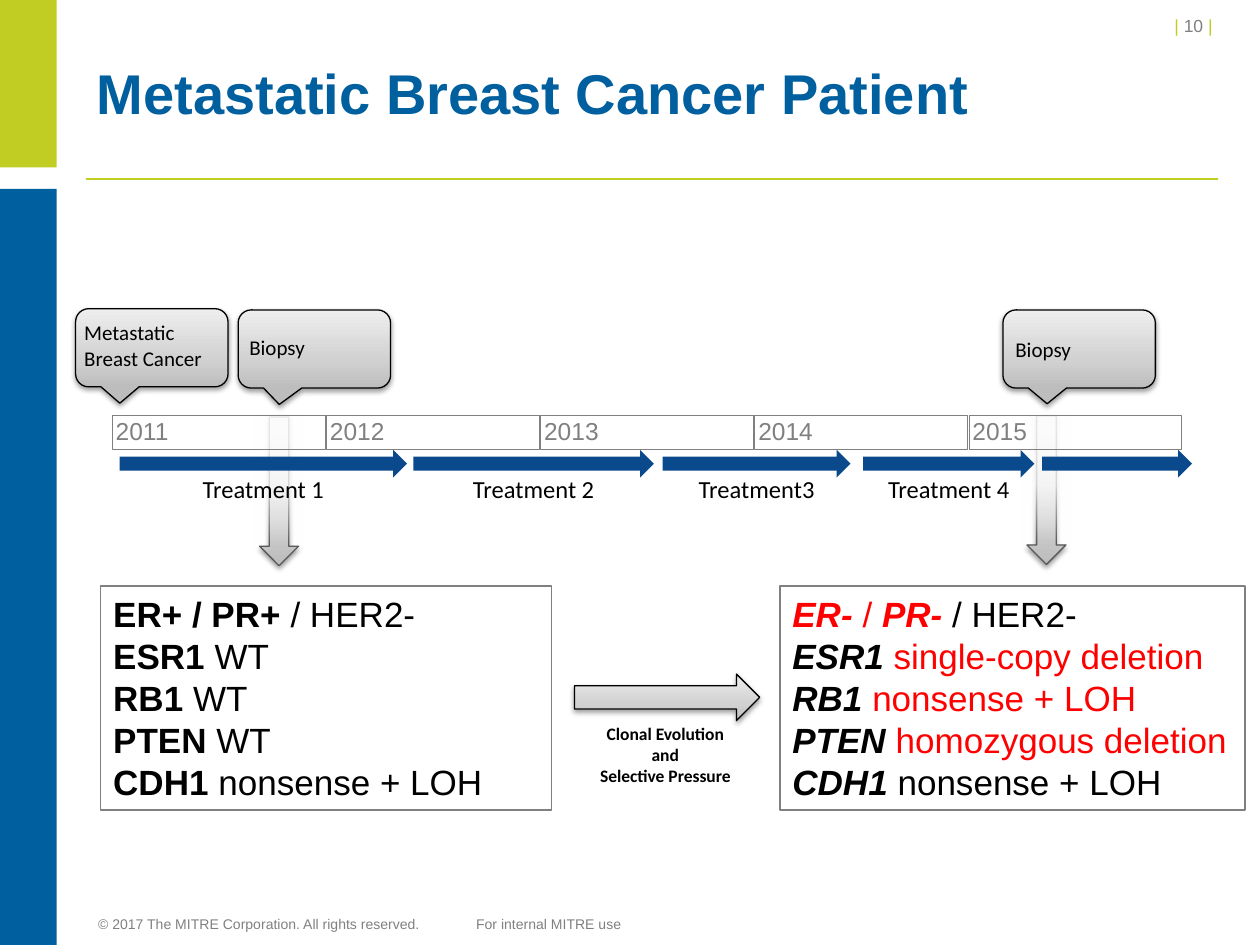
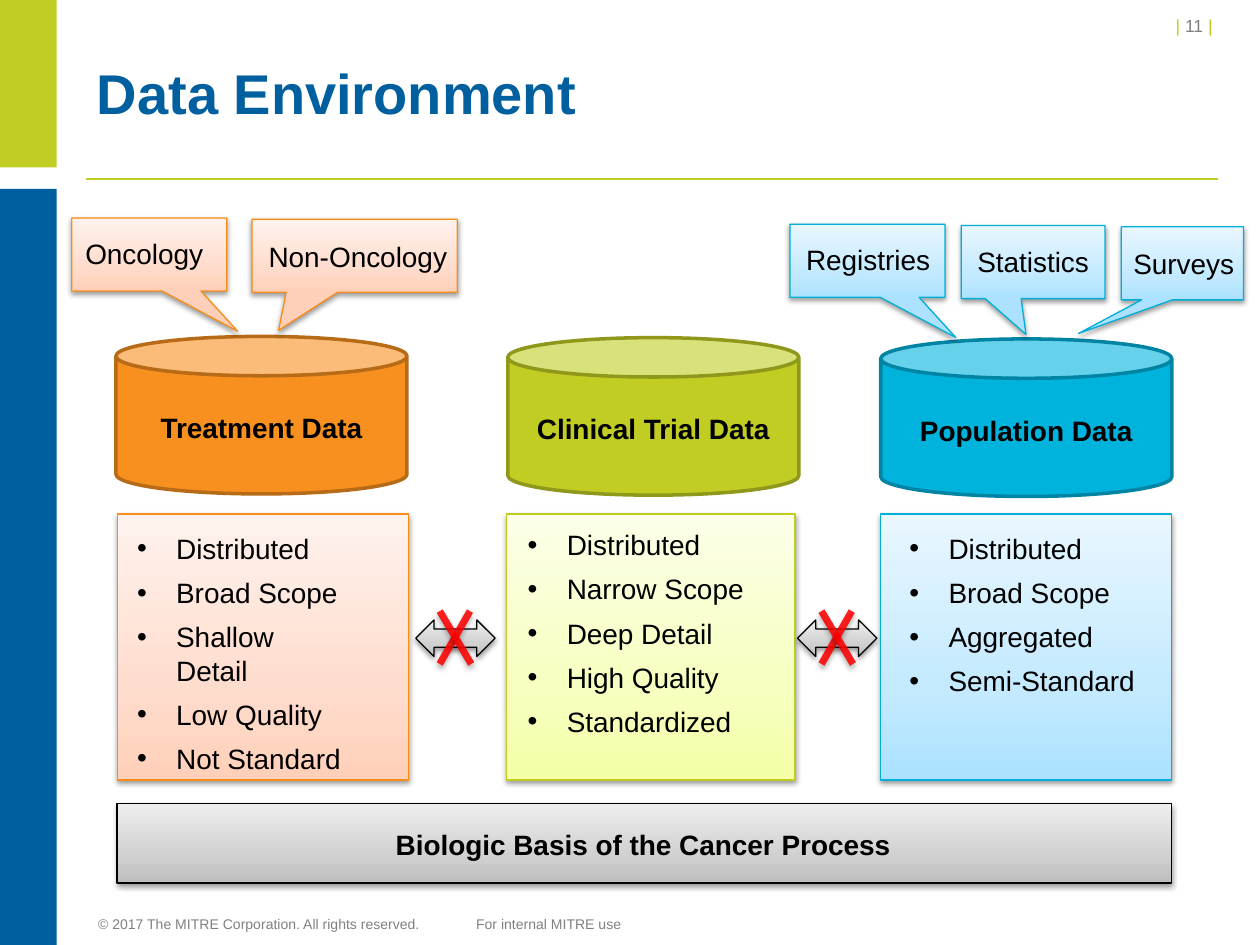
"""Build two slides on a cancer patient's timeline and the data environment."""
from dataclasses import dataclass
from typing import NamedTuple

from pptx import Presentation
from pptx.dml.color import RGBColor
from pptx.enum.shapes import MSO_CONNECTOR, MSO_SHAPE
from pptx.enum.text import MSO_ANCHOR, PP_ALIGN
from pptx.oxml import parse_xml
from pptx.oxml.ns import nsdecls, qn
from pptx.shapes.autoshape import Shape
from pptx.shapes.connector import Connector
from pptx.slide import Slide
from pptx.text.text import TextFrame
from pptx.util import Inches, Pt

RECTANGLE = MSO_SHAPE.RECTANGLE
RIGHT_ARROW = MSO_SHAPE.RIGHT_ARROW
DOWN_ARROW = MSO_SHAPE.DOWN_ARROW
DOUBLE_ARROW = MSO_SHAPE.LEFT_RIGHT_ARROW
CAN = MSO_SHAPE.CAN
ROUND_CALLOUT = MSO_SHAPE.ROUNDED_RECTANGULAR_CALLOUT
SQUARE_CALLOUT = MSO_SHAPE.RECTANGULAR_CALLOUT
STRAIGHT = MSO_CONNECTOR.STRAIGHT
LEFT, CENTER, RIGHT = PP_ALIGN.LEFT, PP_ALIGN.CENTER, PP_ALIGN.RIGHT
TOP, MIDDLE, BOTTOM = MSO_ANCHOR.TOP, MSO_ANCHOR.MIDDLE, MSO_ANCHOR.BOTTOM

BLACK = RGBColor(0x00, 0x00, 0x00)
RED = RGBColor(0xFF, 0x00, 0x00)
GRAY = RGBColor(0x80, 0x80, 0x80)
DARK_GRAY = RGBColor(0x59, 0x59, 0x59)
LIME = RGBColor(0xC1, 0xCD, 0x23)
BLUE = RGBColor(0x00, 0x5F, 0x9E)
ARROW_BLUE = RGBColor(0x0A, 0x4A, 0x8C)
ORANGE = RGBColor(0xF7, 0x90, 0x1E)
CYAN = RGBColor(0x00, 0xB3, 0xDC)
DARK_LIME = RGBColor(0x8F, 0x98, 0x1A)
DARK_ORANGE = RGBColor(0xB7, 0x6B, 0x16)
DARK_CYAN = RGBColor(0x00, 0x84, 0xA3)
ORANGE_EDGE = RGBColor(0xF7, 0x8D, 0x18)
LIME_EDGE = RGBColor(0xC0, 0xCD, 0x1E)
CYAN_EDGE = RGBColor(0x00, 0xAF, 0xD7)


class Bounds(NamedTuple):
    """Left, top, width and height in inches."""
    left: float
    top: float
    width: float
    height: float


class Stop(NamedTuple):
    """One gradient stop, with position and opacity in percent."""
    position: int
    color: str
    opacity: int = 100


class Tint(NamedTuple):
    """A gradient and the outline that goes with it."""
    stops: tuple[Stop, ...]
    edge: RGBColor


class Span(NamedTuple):
    """A piece of text that may differ from its paragraph's style."""
    text: str
    color: RGBColor | None = None
    bold: bool | None = None
    italic: bool = False


@dataclass(frozen=True)
class Style:
    """How the paragraphs of a box look."""
    size: int
    color: RGBColor = BLACK
    font: str = "Arial"
    bold: bool = False
    align: PP_ALIGN = LEFT
    anchor: MSO_ANCHOR = TOP
    after: int = 0
    leading: int = 0
    bullet: bool = False


@dataclass(frozen=True)
class Callout:
    """A speech bubble with its pointer and label position."""
    text: str
    box: Bounds
    pointer: tuple[float, float]
    label: Bounds
    tint: Tint


@dataclass(frozen=True)
class Source:
    """A data store with the panel that describes it."""
    name: str
    can: Bounds
    fill: RGBColor
    edge: RGBColor
    panel: Bounds
    tint: Tint
    bullets: Bounds
    items: tuple[str, ...]


def ramp(dark: str, medium: str, light: str) -> tuple[Stop, ...]:
    """Return the three stops shared by all shaded shapes."""
    return Stop(0, dark), Stop(35, medium), Stop(100, light)


SILVER = Tint(ramp("BDBDBD", "D1D1D1", "EEEEEE"), BLACK)
SILVER_SOFT = SILVER._replace(edge=DARK_GRAY)
PEACH = Tint(ramp("FFD0B9", "FFDDCE", "FFF2ED"), ORANGE_EDGE)
LEMON = Tint(ramp("F5FFA6", "F7FFC0", "FCFFE7"), LIME_EDGE)
SKY = Tint(ramp("ACE2FF", "C4EAFF", "E9F7FF"), CYAN_EDGE)
FADE = Stop(16, "FFFFFF", 85), Stop(55, "FFFFFF", 75), Stop(100, "FFFFFF", 0)

TITLE = Style(32, BLUE, bold=True, anchor=MIDDLE, leading=32)
FOOTER = Style(8, GRAY, anchor=BOTTOM, leading=13)
NUMBER = Style(10, GRAY, align=RIGHT, after=6)
YEAR = Style(14, GRAY, after=6)
TREATMENT = Style(14, font="Calibri", align=CENTER)
EVENT = Style(12, font="Calibri")
EVOLUTION = Style(10, font="Calibri", bold=True, align=CENTER)
FINDING = Style(20)
LABEL = Style(16, align=CENTER, after=6)
STORE = Style(16, bold=True, align=CENTER, after=6)
BULLETS = Style(16, after=6, bullet=True)

TREATMENTS = ((0.95, 2.28, "Treatment 1"), (3.28, 1.91, "Treatment 2"), (5.26, 1.49, "Treatment3"),
              (6.85, 1.36, "Treatment 4"), (8.27, 1.19, ""))
EVENTS = (
    Callout("Metastatic Breast Cancer", Bounds(0.6, 2.45, 1.21, 0.62), (-0.21, 0.71),
            Bounds(0.57, 2.49, 1.29, 0.5), SILVER),
    Callout("Biopsy", Bounds(1.89, 2.46, 1.21, 0.62), (-0.23, 0.71),
            Bounds(1.88, 2.61, 1.21, 0.3), SILVER),
    Callout("Biopsy", Bounds(7.96, 2.46, 1.21, 0.62), (-0.21, 0.7),
            Bounds(7.96, 2.62, 1.21, 0.3), SILVER),
)
FIRST_FINDINGS = [[Span("ER+ / PR+ ", bold=True), Span("/ HER2-")]] + [
    [Span(gene, bold=True), Span(f" {status}")]
    for gene, status in (("ESR1", "WT"), ("RB1", "WT"), ("PTEN", "WT"), ("CDH1", "nonsense + LOH"))
]
LAST_FINDINGS = [[Span("ER- ", RED, True, True), Span("/ ", RED),
                  Span("PR- ", RED, True, True), Span("/ HER2-")]] + [
    [Span(f"{gene} ", bold=True, italic=True), Span(status, color)]
    for gene, status, color in (("ESR1", "single-copy deletion", RED), ("RB1", "nonsense + LOH", RED),
                                ("PTEN", "homozygous deletion", RED), ("CDH1", "nonsense + LOH", BLACK))
]
SUPPLIERS = (
    Callout("Oncology", Bounds(0.57, 1.73, 1.23, 0.58), (0.57, 1.05), Bounds(0.57, 1.83, 1.15, 0.37), PEACH),
    Callout("Non-Oncology", Bounds(2, 1.74, 1.63, 0.58), (-0.37, 1.02), Bounds(2, 1.85, 1.68, 0.37), PEACH),
    Callout("Registries", Bounds(6.27, 1.78, 1.23, 0.58), (0.57, 1.05), Bounds(6.27, 1.88, 1.24, 0.37), SKY),
    Callout("Statistics", Bounds(7.63, 1.79, 1.14, 0.58), (-0.05, 0.99), Bounds(7.63, 1.89, 1.14, 0.37), SKY),
    Callout("Surveys", Bounds(8.9, 1.8, 0.97, 0.58), (-0.85, 0.96), Bounds(8.86, 1.91, 1.07, 0.37), SKY),
)
SOURCES = (
    Source("Treatment Data", Bounds(0.92, 2.67, 2.31, 1.25), ORANGE, DARK_ORANGE,
           Bounds(0.93, 4.08, 2.31, 2.11), PEACH, Bounds(0.99, 4.17, 1.87, 1.78),
           ("Distributed", "Broad Scope", "Shallow Detail", "Low Quality", "Not Standard")),
    Source("Clinical Trial Data", Bounds(4.03, 2.68, 2.31, 1.25), LIME, DARK_LIME,
           Bounds(4.02, 4.08, 2.29, 2.11), LEMON, Bounds(4.09, 4.14, 2, 1.78),
           ("Distributed", "Narrow Scope", "Deep Detail", "High Quality", "Standardized")),
    Source("Population Data", Bounds(6.99, 2.69, 2.31, 1.25), CYAN, DARK_CYAN,
           Bounds(6.99, 4.08, 2.31, 2.11), SKY, Bounds(7.12, 4.17, 2.1, 1.43),
           ("Distributed", "Broad Scope", "Aggregated", "Semi-Standard")),
)


def write(frame: TextFrame, lines: list[list[Span]], style: Style) -> None:
    """Fill a text frame run by run."""
    frame.word_wrap = True
    frame.vertical_anchor = style.anchor
    for index, line in enumerate(lines):
        para = frame.add_paragraph() if index else frame.paragraphs[0]
        para.alignment = style.align
        para.space_after = Pt(style.after)
        if style.leading:
            para.line_spacing = Pt(style.leading)
        if style.bullet:
            properties = para._p.get_or_add_pPr()
            properties.set("marL", str(Inches(0.31)))
            properties.set("indent", str(-Inches(0.31)))
            properties.append(parse_xml(f'<a:buFont {nsdecls("a")} typeface="Arial"/>'))
            properties.append(parse_xml(f'<a:buChar {nsdecls("a")} char="•"/>'))
        for span in line:
            run = para.add_run()
            run.text = span.text
            run.font.name = style.font
            run.font.size = Pt(style.size)
            run.font.bold = style.bold if span.bold is None else span.bold
            run.font.italic = span.italic
            run.font.color.rgb = style.color if span.color is None else span.color


def add_text(page: Slide, bounds: Bounds, lines: list[list[Span]], style: Style) -> None:
    """Add a text box."""
    write(page.shapes.add_textbox(*map(Inches, bounds)).text_frame, lines, style)


def add_label(page: Slide, bounds: Bounds, style: Style, *texts: str) -> None:
    """Add a text box with one plain paragraph for each text."""
    add_text(page, bounds, [[Span(text)] for text in texts], style)


def add_shape(page: Slide, kind: MSO_SHAPE, bounds: Bounds, fill: RGBColor | None = None,
              edge: RGBColor | None = None, weight: float = 0.75) -> Shape:
    """Add a flat preset shape."""
    shape = page.shapes.add_shape(kind, *map(Inches, bounds))
    shape.shadow.inherit = False
    if fill is None:
        shape.fill.background()
    else:
        shape.fill.solid()
        shape.fill.fore_color.rgb = fill
    if edge is None:
        shape.line.fill.background()
    else:
        shape.line.color.rgb = edge
        shape.line.width = Pt(weight)
    return shape


def set_gradient(shape: Shape, stops: tuple[Stop, ...], angle: int) -> None:
    """Give a shape a linear gradient, with the angle counted clockwise."""
    shape.fill.gradient()
    marks = "".join(
        f'<a:gs pos="{stop.position * 1000}"><a:srgbClr val="{stop.color}">'
        f'<a:alpha val="{stop.opacity * 1000}"/></a:srgbClr></a:gs>' for stop in stops)
    gradient = parse_xml(f'<a:gradFill {nsdecls("a")} rotWithShape="1"><a:gsLst>{marks}</a:gsLst>'
                         f'<a:lin ang="{angle * 60000}" scaled="0"/></a:gradFill>')
    properties = shape._element.spPr
    properties.replace(properties.find(qn("a:gradFill")), gradient)


def set_shadow(item: Shape | Connector, opacity: int, distance: float) -> None:
    """Drop a soft shadow straight down."""
    properties = item._element.spPr
    for effects in properties.findall(qn("a:effectLst")):
        properties.remove(effects)
    properties.append(parse_xml(
        f'<a:effectLst {nsdecls("a")}><a:outerShdw blurRad="{Pt(3.1)}" dist="{Pt(distance)}" dir="5400000" '
        f'rotWithShape="0"><a:srgbClr val="000000"><a:alpha val="{opacity * 1000}"/></a:srgbClr>'
        '</a:outerShdw></a:effectLst>'))


def add_shaded(page: Slide, kind: MSO_SHAPE, bounds: Bounds, tint: Tint) -> Shape:
    """Add a shape with a gradient, an outline and a shadow."""
    shape = add_shape(page, kind, bounds, edge=tint.edge)
    set_gradient(shape, tint.stops, 270)
    set_shadow(shape, 38, 1.6)
    return shape


def add_callout(page: Slide, kind: MSO_SHAPE, callout: Callout, style: Style) -> None:
    """Add a speech bubble and its label."""
    bubble = add_shaded(page, kind, callout.box, callout.tint)
    bubble.adjustments[0], bubble.adjustments[1] = callout.pointer
    add_label(page, callout.label, style, callout.text)


def add_line(page: Slide, start: tuple[float, float], end: tuple[float, float],
             color: RGBColor, weight: float) -> Connector:
    """Add a straight line without a shadow."""
    line = page.shapes.add_connector(STRAIGHT, *map(Inches, (*start, *end)))
    line.line.color.rgb = color
    line.line.width = Pt(weight)
    line._element.spPr.append(parse_xml(f'<a:effectLst {nsdecls("a")}/>'))
    return line


def add_blocked_link(page: Slide, left: float) -> None:
    """Add a double arrow crossed out in red."""
    add_shaded(page, DOUBLE_ARROW, Bounds(left, 4.92, 0.63, 0.29), SILVER)
    for start, end in ((0.43, 0.19), (0.19, 0.44)):
        stroke = add_line(page, (left + start, 4.85), (left + end, 5.27), RED, 4)
        color = stroke._element.spPr.find(".//" + qn("a:srgbClr"))
        color.append(parse_xml(f'<a:alpha {nsdecls("a")} val="85000"/>'))
        set_shadow(stroke, 35, 1.8)


def add_page(deck: Presentation, title: str, number: int) -> Slide:
    """Add a slide with the bands, title, number and footer."""
    page = deck.slides.add_slide(deck.slide_layouts[6])
    add_line(page, (0.68, 1.42), (9.67, 1.42), LIME, 1)
    add_shape(page, RECTANGLE, Bounds(0, 0, 0.45, 1.33), LIME)
    add_shape(page, RECTANGLE, Bounds(0, 1.5, 0.45, 6), BLUE)
    add_text(page, Bounds(8.01, 0.07, 1.75, 0.27),
             [[Span("| ", LIME), Span(f"{number} "), Span("| ", LIME)]], NUMBER)
    add_label(page, Bounds(0.67, 0.3, 9, 0.95), TITLE, title)
    add_label(page, Bounds(0.68, 7.21, 6.38, 0.24), FOOTER,
              "© 2017 The MITRE Corporation. All rights reserved. \tFor internal MITRE use")
    return page


def build_patient(deck: Presentation) -> None:
    """Build the timeline of the patient."""
    page = add_page(deck, "Metastatic Breast Cancer Patient", 10)
    for left, top in ((8.15, 3.3), (2.06, 3.31)):
        add_shaded(page, DOWN_ARROW, Bounds(left, top, 0.31, 1.18), SILVER_SOFT)
        veil = add_shape(page, RECTANGLE, Bounds(left - 0.04, top - 0.03, 0.39, 1.04))
        set_gradient(veil, FADE, 90)
    for left, width, name in TREATMENTS:
        add_shape(page, RIGHT_ARROW, Bounds(left, 3.57, width, 0.22), ARROW_BLUE)
        if name:
            add_label(page, Bounds(left, 3.71, width, 0.34), TREATMENT, name)
    add_shaded(page, RIGHT_ARROW, Bounds(4.56, 5.35, 1.47, 0.37), SILVER)
    add_label(page, Bounds(4.52, 5.69, 1.52, 0.61), EVOLUTION, "Clonal Evolution", "and", "Selective Pressure")
    for index in range(5):
        left = 0.89 + 1.7 * index
        add_shape(page, RECTANGLE, Bounds(left, 3.3, 1.69, 0.27), edge=GRAY, weight=0.5)
        add_label(page, Bounds(left - 0.07, 3.25, 0.7, 0.34), YEAR, str(2011 + index))
    for event in EVENTS:
        add_callout(page, ROUND_CALLOUT, event, EVENT)
    for left, width, findings in ((6.19, 3.69, LAST_FINDINGS), (0.8, 3.58, FIRST_FINDINGS)):
        box = add_shape(page, RECTANGLE, Bounds(left, 4.65, width, 1.78), edge=GRAY)
        write(box.text_frame, findings, FINDING)


def build_environment(deck: Presentation) -> None:
    """Build the overview of the data sources."""
    page = add_page(deck, "Data Environment", 11)
    for source in SOURCES:
        add_shape(page, CAN, source.can, source.fill, source.edge, 2)
        add_label(page, source.can._replace(top=source.can.top + 0.54, height=0.37), STORE, source.name)
        add_shaded(page, RECTANGLE, source.panel, source.tint)
        add_label(page, source.bullets, BULLETS, *source.items)
    for supplier in SUPPLIERS:
        add_callout(page, SQUARE_CALLOUT, supplier, LABEL)
    for left in (3.3, 6.33):
        add_blocked_link(page, left)
    add_shaded(page, RECTANGLE, Bounds(0.93, 6.38, 8.37, 0.63), SILVER)
    add_label(page, Bounds(0.94, 6.52, 8.33, 0.37), STORE, "Biologic Basis of the Cancer Process")


def main() -> None:
    """Build and save the deck."""
    deck = Presentation()
    deck.slide_width, deck.slide_height = Inches(10), Inches(7.5)
    build_patient(deck)
    build_environment(deck)
    deck.save("out.pptx")


if __name__ == "__main__":
    main()
